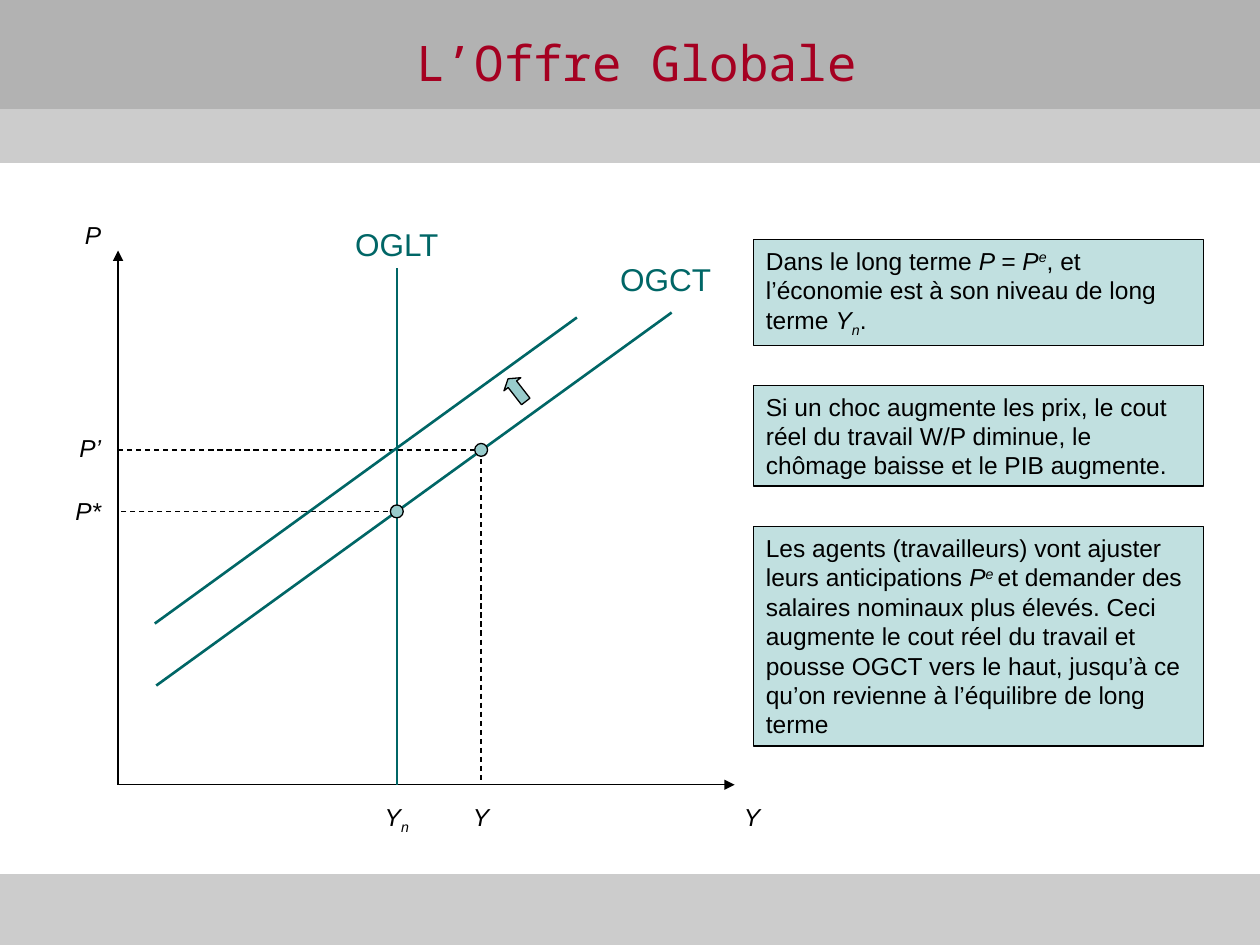
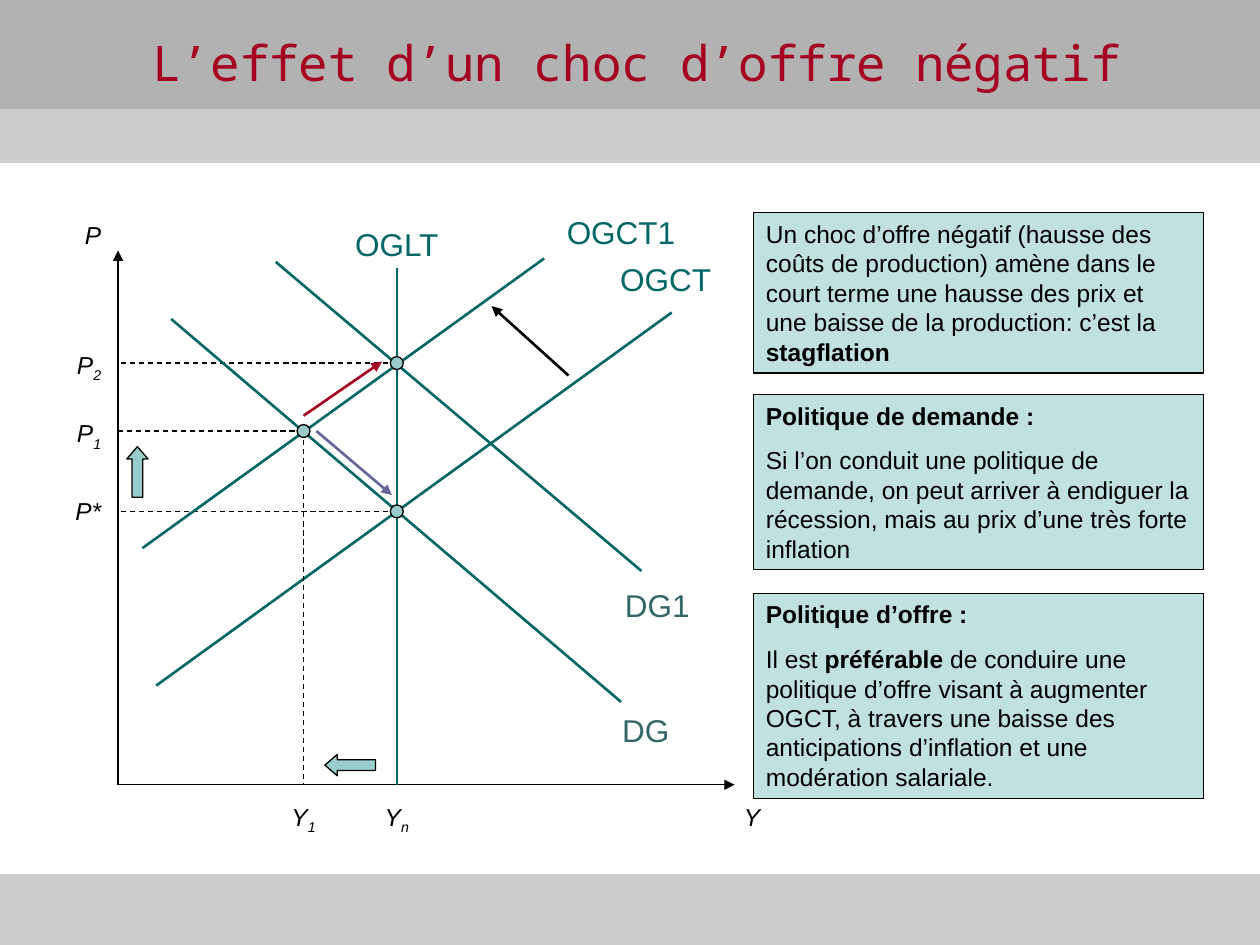
from lxml import etree
from pptx import Presentation
from pptx.dml.color import RGBColor
from pptx.enum.dml import MSO_LINE
from pptx.enum.shapes import MSO_CONNECTOR, MSO_SHAPE
from pptx.enum.text import MSO_ANCHOR, PP_ALIGN
from pptx.oxml.ns import qn
from pptx.util import Cm, Pt

# Enum members
STRAIGHT = MSO_CONNECTOR.STRAIGHT
RECT, OVAL, ARROW = MSO_SHAPE.RECTANGLE, MSO_SHAPE.OVAL, MSO_SHAPE.LEFT_ARROW
LEFT, MID, RIGHT = PP_ALIGN.LEFT, PP_ALIGN.CENTER, PP_ALIGN.RIGHT
DASH = MSO_LINE.DASH

# Colours
BLACK = RGBColor(0x00, 0x00, 0x00)
DARK = RGBColor(0xB2, 0xB2, 0xB2)
LIGHT = RGBColor(0xCC, 0xCC, 0xCC)
RED = RGBColor(0xA5, 0x00, 0x21)
TEAL = RGBColor(0x00, 0x66, 0x66)
SLATE = RGBColor(0x33, 0x66, 0x66)
AQUA = RGBColor(0x99, 0xCC, 0xCC)
VIOLET = RGBColor(0x66, 0x66, 0x99)

# Fonts and the fixed lines of the graph, in cm
FONT, MONO = "Arial", "Noto Sans Mono"
WIDE, HIGH = 25.4, 19.05
AXIS_X, AXIS_Y = 2.38, 15.82
LONG_X, STAR_Y = 8, 10.31
BASE = {"^": "30000", "_": "-25000"}


def write(frame, paras, size, color=BLACK, align=LEFT):
    """Fill a frame; a paragraph is a list of (text, marks) runs.

    Marks: b bold, i italic, ^ superscript, _ subscript.
    """
    frame.word_wrap = True
    frame.vertical_anchor = MSO_ANCHOR.TOP
    for num, runs in enumerate(paras):
        para = frame.add_paragraph() if num else frame.paragraphs[0]
        para.alignment = align
        para.space_before = Pt(11.2 if size == 18 else 8.8)
        for text, marks in runs:
            run = para.add_run()
            run.text = text
            font = run.font
            font.name, font.size = FONT, Pt(size)
            font.color.rgb = color
            font.bold, font.italic = "b" in marks, "i" in marks
            for mark in BASE:
                if mark in marks:
                    run._r.get_or_add_rPr().set("baseline", BASE[mark])


def shape(slide, kind, x, y, w, h, fill, edge=BLACK):
    item = slide.shapes.add_shape(kind, Cm(x), Cm(y), Cm(w), Cm(h))
    item.shadow.inherit = False
    item.fill.solid()
    item.fill.fore_color.rgb = fill
    item.line.color.rgb = edge
    item.line.width = Pt(0.75)
    return item


def line(slide, start, end, color=TEAL, width=1.5, dash=None, head=False):
    item = slide.shapes.add_connector(
        STRAIGHT, *(Cm(v) for v in (*start, *end)))
    item.line.color.rgb = color
    item.line.width = Pt(width)
    if dash:
        item.line.dash_style = dash
    if head:
        stroke = item.line._get_or_add_ln()
        etree.SubElement(stroke, qn("a:tailEnd"), type="triangle")
    etree.SubElement(item.element.spPr, qn("a:effectLst"))


def guide(slide, start, end):
    line(slide, start, end, BLACK, 0.75, dash=DASH)


def dot(slide, x, y, size=0.26):
    shape(slide, OVAL, x - size / 2, y - size / 2, size, size, AQUA)


def arrow(slide, x, y, w, tip, turn=0):
    item = shape(slide, ARROW, x, y, w, 0.43, AQUA)
    item.adjustments[1] = tip
    item.rotation = turn


def label(slide, x, y, w, h, runs, size, color, align):
    item = slide.shapes.add_textbox(Cm(x), Cm(y), Cm(w), Cm(h))
    write(item.text_frame, [runs], size, color, align)


def name(slide, text, x, y, color=TEAL):
    """Name of a curve, centred on x."""
    label(slide, x - 1.5, y, 3, 1.02, [(text, "")], 18, color, MID)


def level(slide, text, y, sub=""):
    """Price beside the vertical axis."""
    runs = [(text, "i"), (sub, "i_")] if sub else [(text, "i")]
    label(slide, 0.79, y, 1.5, 0.86, runs, 14, BLACK, RIGHT)


def amount(slide, x, sub=""):
    """Output below the horizontal axis, centred on x."""
    runs = [("Y", "i"), (sub, "i_")] if sub else [("Y", "i")]
    label(slide, x - 1.1, 16.05, 2.2, 0.86, runs, 14, BLACK, MID)


def note(slide, y, h, *paras):
    item = shape(slide, RECT, 15.19, y, 9.07, h, AQUA)
    tint = item.element.spPr.find(".//" + qn("a:srgbClr"))
    etree.SubElement(tint, qn("a:alpha"), val="60000")
    write(item.text_frame, paras, 14)


def bands(slide, layout):
    """Draw the grey bands and move them to the back of the layout."""
    rows = [(1.52, 1.75, LIGHT), (0, 2.18, DARK), (17.63, 1.42, LIGHT)]
    for num, (y, h, color) in enumerate(rows):
        band = shape(slide, RECT, 0, y, WIDE, h, color, color).element
        band.nvSpPr.cNvPr.set("id", str(20 + num))
        layout.shapes.element.insert(2 + num, band)


def head(slide, text):
    title = slide.shapes.title
    title.left, title.top = Cm(0.84), Cm(0.53)
    title.width, title.height = Cm(23.98), Cm(1.45)
    frame = title.text_frame
    frame.text = text
    frame.vertical_anchor = MSO_ANCHOR.MIDDLE
    para = frame.paragraphs[0]
    para.alignment = MID
    font = para.runs[0].font
    font.name, font.size = MONO, Pt(28)
    font.color.rgb = RED


def graph(slide):
    """Axes, supply curves and long-run balance, common to both slides."""
    guide(slide, (LONG_X, STAR_Y), (AXIS_X, STAR_Y))
    for end in [(AXIS_X, 5.05), (14.81, AXIS_Y)]:
        line(slide, (AXIS_X, AXIS_Y), end, BLACK, 0.75, head=True)
    line(slide, (3.15, 13.82), (13.54, 6.3))
    line(slide, (LONG_X, AXIS_Y), (LONG_X, 5.41))
    name(slide, "OGLT", LONG_X, 4.42)
    name(slide, "OGCT", 13.42, 5.11)
    level(slide, "P", 4.32)
    level(slide, "P*", 9.88)
    amount(slide, LONG_X, "n")
    amount(slide, 15.16)


def supply(slide):
    head(slide, "L’Offre Globale")
    graph(slide)

    # Price shock and the curve that follows it
    x, y = 9.7, 9.07
    guide(slide, (x, y), (x, AXIS_Y))
    guide(slide, (AXIS_X, y), (x, y))
    line(slide, (3.12, 12.57), (11.63, 6.4))
    dot(slide, LONG_X, STAR_Y)
    dot(slide, x, y)
    arrow(slide, 10.13, 7.65, 0.58, 0.33, 52.2)
    level(slide, "P’", 8.61)
    amount(slide, x)

    # Notes
    note(slide, 4.83, 2.13, [
        ("Dans le long terme ", ""), ("P = P", "i"), ("e", "i^"),
        (", et l’économie est à son niveau de long terme ", ""),
        ("Y", "i"), ("n", "i_"), (".", "")])
    note(slide, 7.77, 2.03, [
        ("Si un choc augmente les prix, le cout réel du travail W/P "
         "diminue, le chômage baisse et le PIB augmente.", "")])
    note(slide, 10.62, 4.42, [
        ("Les agents (travailleurs) vont ajuster leurs anticipations ", ""),
        ("P", "i"), ("e ", "i^"),
        ("et demander des salaires nominaux plus élevés. Ceci augmente le "
         "cout réel du travail et pousse OGCT vers le haut, jusqu’à ce "
         "qu’on revienne à l’équilibre de long terme", "")])


def shock(slide):
    head(slide, "L’effet d’un choc d’offre négatif")
    graph(slide)

    # Shifted curves and their balances
    x, y, top = 6.12, 8.69, 7.32
    guide(slide, (x, y), (AXIS_X, y))
    guide(slide, (x, y), (x, AXIS_Y))
    guide(slide, (LONG_X, top), (AXIS_X, top))
    line(slide, (3.45, 6.43), (12.52, 14.15))
    line(slide, (2.87, 11.05), (10.97, 5.21))
    line(slide, (5.56, 5.28), (12.93, 11.51))
    for spot in [(LONG_X, STAR_Y), (x, y), (LONG_X, top)]:
        dot(slide, *spot)
    name(slide, "OGCT1", 12.52, 4.17)
    name(slide, "DG", 13.02, 14.2, SLATE)
    name(slide, "DG1", 13.25, 11.68, SLATE)
    level(slide, "P", 8.31, "1")
    level(slide, "P", 6.93, "2")
    amount(slide, x, "1")

    # Moves
    arrow(slide, 6.55, 15.21, 1.02, 0.58)
    arrow(slide, 2.26, 9.3, 1.02, 0.58, 90)
    line(slide, (6.12, 8.38), (7.7, 7.29), RED, head=True)
    line(slide, (6.38, 8.69), (7.9, 9.98), VIOLET, head=True)
    line(slide, (11.46, 7.57), (9.91, 6.17), BLACK, head=True)

    # Notes
    note(slide, 4.29, 3.23, [
        ("Un choc d’offre négatif (hausse des coûts de production) amène "
         "dans le court terme une hausse des prix et une baisse de la "
         "production: c’est la ", ""), ("stagflation", "b")])
    note(slide, 7.95, 3.53, [("Politique de demande :", "b")], [
        ("Si l’on conduit une politique de demande, on peut arriver à "
         "endiguer la récession, mais au prix d’une très forte "
         "inflation", "")])
    note(slide, 11.96, 4.14, [("Politique d’offre :", "b")], [
        ("Il est ", ""), ("préférable", "b"),
        (" de conduire une politique d’offre visant à augmenter OGCT, à "
         "travers une baisse des anticipations d’inflation et une "
         "modération salariale.", "")])


def main():
    prs = Presentation()
    prs.slide_width, prs.slide_height = Cm(WIDE), Cm(HIGH)
    layout = prs.slide_layouts[5]
    first, second = (prs.slides.add_slide(layout) for _ in range(2))
    bands(first, layout)
    supply(first)
    shock(second)
    prs.save("out.pptx")


if __name__ == "__main__":
    main()
